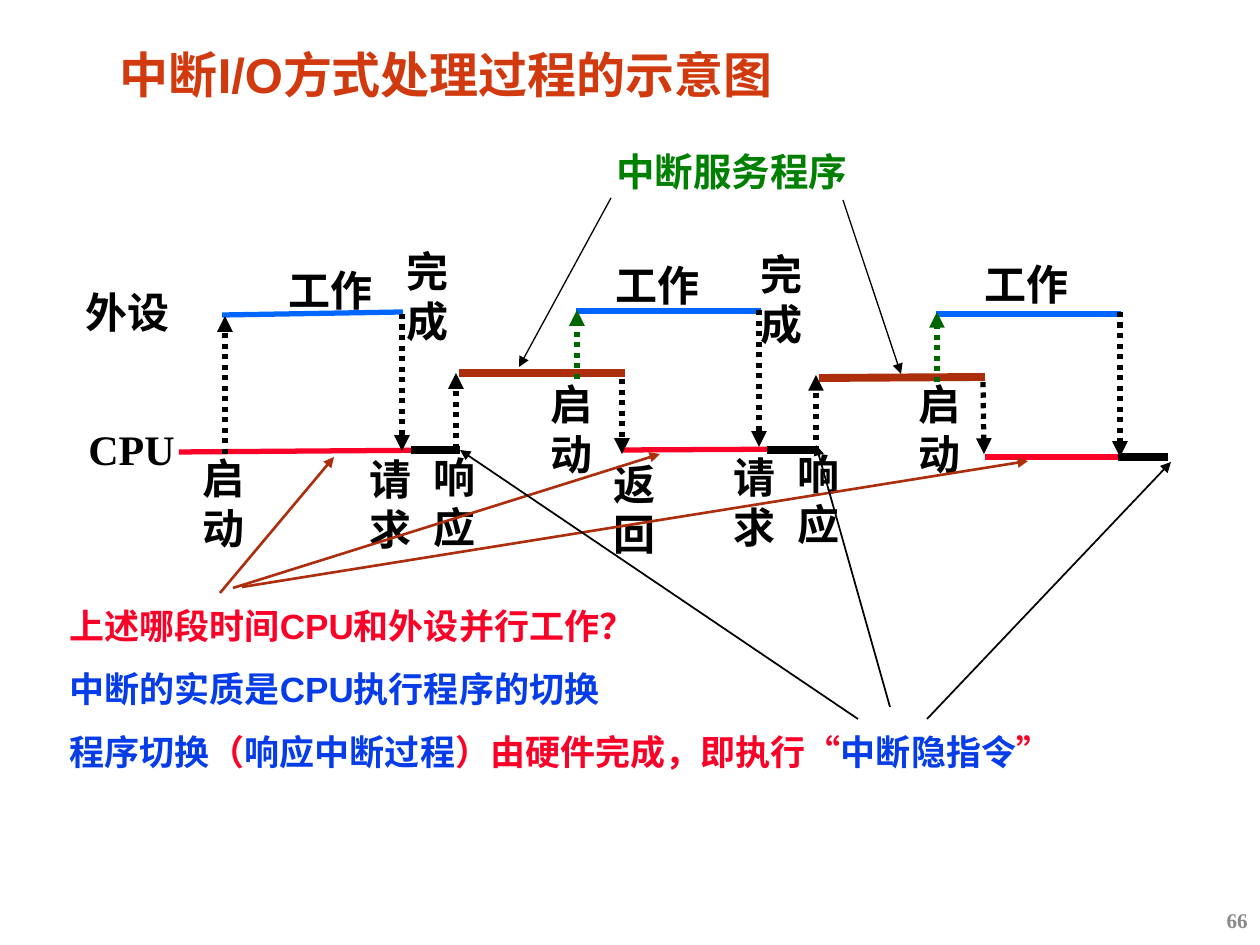
from pptx import Presentation
from pptx.dml.color import RGBColor
from pptx.enum.dml import MSO_LINE
from pptx.enum.shapes import MSO_CONNECTOR
from pptx.enum.text import MSO_ANCHOR, MSO_AUTO_SIZE, PP_ALIGN
from pptx.oxml.ns import qn
from pptx.util import Pt
from lxml import etree

STRAIGHT = MSO_CONNECTOR.STRAIGHT
DOTTED = MSO_LINE.ROUND_DOT
GROW, FIXED = MSO_AUTO_SIZE.SHAPE_TO_FIT_TEXT, MSO_AUTO_SIZE.NONE
TOP, MIDDLE = MSO_ANCHOR.TOP, MSO_ANCHOR.MIDDLE
LEFT, RIGHT = PP_ALIGN.LEFT, PP_ALIGN.RIGHT

EMU_PER_PX = 914400 / 126
SERIF, SANS = "Times New Roman", "Arial"
BLACK, RED, BLUE, BROWN = "000000", "FC0128", "063DE8", "AC2E0C"
DEVICE_BLUE, START_GREEN = "0066FF", "006600"


def px(length):
    return round(length * EMU_PER_PX)


def color(hex_value):
    return RGBColor.from_string(hex_value)


def set_values(target, values):
    for name, value in values.items():
        setattr(target, name, value)


def add_text(slide, box, paragraphs, size=24, font=SERIF, spacing=None,
             align=LEFT, **frame_values):
    frame = slide.shapes.add_textbox(*map(px, box)).text_frame
    set_values(frame, {"word_wrap": True, "auto_size": GROW,
                       "vertical_anchor": TOP, **frame_values})
    for index, runs in enumerate(paragraphs):
        paragraph = frame.paragraphs[0] if index == 0 else frame.add_paragraph()
        set_values(paragraph, {"alignment": align, "line_spacing": spacing})
        for words, hex_value in runs:
            run = paragraph.add_run()
            run.text = words
            set_values(run.font, {"name": font, "size": Pt(size), "bold": True})
            run.font.color.rgb = color(hex_value)


def add_line(slide, ends, hex_value, width, dash=None, arrow=False):
    connector = slide.shapes.add_connector(STRAIGHT, *map(px, ends))
    set_values(connector.line, {"width": Pt(width), "dash_style": dash})
    connector.line.color.rgb = color(hex_value)
    properties = connector._element.spPr
    if arrow:
        outline = properties.find(qn("a:ln"))
        etree.SubElement(outline, qn("a:tailEnd"), type="triangle")
    etree.SubElement(properties, qn("a:effectLst"))


def add_lines(slide, all_ends, *style, **options):
    for ends in all_ends:
        add_line(slide, ends, *style, **options)


def add_labels(slide):
    labels = {
        ("外设", 118, 63): [(73, 280)],
        ("CPU", 118, 63): [(76, 417)],
        ("工作", 146, 63): [(276, 258), (603, 253), (972, 252)],
        ("完成", 63, 113): [(394, 239), (748, 242)],
        ("启动", 68, 113): [(190, 446), (538, 372), (906, 372)],
        ("请求", 72, 113): [(357, 447), (721, 445)],
        ("响应", 72, 113): [(421, 445), (785, 442)],
        ("返回", 72, 113): [(601, 452)],
    }
    for (words, width, height), places in labels.items():
        for left, top in places:
            add_text(slide, (left, top, width, height), [[(words, BLACK)]])


def add_timeline(slide):
    main_program = [(179, 452, 456, 450), (622, 450, 819, 449),
                    (985, 457, 1159, 457)]
    device_work = [(222, 315, 403, 312), (576, 311, 761, 311),
                   (936, 314, 1121, 314)]
    service_routine = [(459, 373, 625, 373), (819, 378, 985, 377)]
    response = [(411, 450, 460, 450), (767, 450, 816, 450),
                (1118, 457, 1168, 457)]
    first_start = [(225, 454, 225, 316)]
    requests = [(402, 314, 402, 451), (759, 310, 759, 447),
                (1120, 312, 1120, 457)]
    service_entries = [(456, 449, 456, 373), (816, 451, 816, 375)]
    returns = [(622, 379, 622, 454), (983, 382, 984, 454)]
    restarts = [(577, 379, 577, 310), (937, 382, 937, 312)]

    add_lines(slide, main_program, RED, 3)
    add_lines(slide, device_work, DEVICE_BLUE, 3)
    add_lines(slide, service_routine, BROWN, 4.5)
    add_lines(slide, first_start + requests + service_entries + returns,
              BLACK, 3, dash=DOTTED, arrow=True)
    add_lines(slide, restarts, START_GREEN, 3, dash=DOTTED, arrow=True)
    add_lines(slide, response, BLACK, 4.5)


def add_pointers(slide):
    to_service = [(611, 198, 519, 367), (843, 200, 901, 374)]
    to_parallel_work = [(220, 593, 334, 457), (233, 588, 660, 454),
                        (242, 587, 1028, 461)]
    to_response = [(927, 719, 1171, 462), (858, 719, 460, 450),
                   (890, 707, 816, 445)]
    add_lines(slide, to_service, BLACK, 0.75, arrow=True)
    add_lines(slide, to_parallel_work, BROWN, 1.5, arrow=True)
    add_lines(slide, to_response, BLACK, 1, arrow=True)


def main():
    deck = Presentation()
    set_values(deck, {"slide_width": px(1260), "slide_height": px(945)})
    slide = deck.slides.add_slide(deck.slide_layouts[6])

    title_margins = {"margin_left": px(9), "margin_right": px(9),
                     "margin_top": px(4), "margin_bottom": px(4)}
    add_text(slide, (111, 49, 707, 58),
             [[("中断I/O方式处理过程的示意图", "D1390F")]],
             size=28, font=SANS, spacing=0.87, **title_margins)
    add_labels(slide)
    add_text(slide, (604, 142, 350, 59), [[("中断服务程序", "008000")]], size=22)
    add_timeline(slide)
    conclusions = [
        [("上述哪段时间CPU和外设并行工作？", RED)],
        [("中断的实质是CPU执行程序的切换", BLUE)],
        [("程序切换", BLUE), ("（", RED), ("响应中断过程", BLUE),
         ("）由硬件完成，即执行“", RED), ("中断隐指令", BLUE), ("”", RED)],
    ]
    add_text(slide, (57, 577, 1203, 204), conclusions,
             size=20, font=SANS, spacing=1.5)
    add_pointers(slide)
    add_text(slide, (976, 895, 284, 50), [[("66", "898989")]], size=12,
             align=RIGHT, auto_size=FIXED, vertical_anchor=MIDDLE)
    deck.save("out.pptx")


if __name__ == "__main__":
    main()
